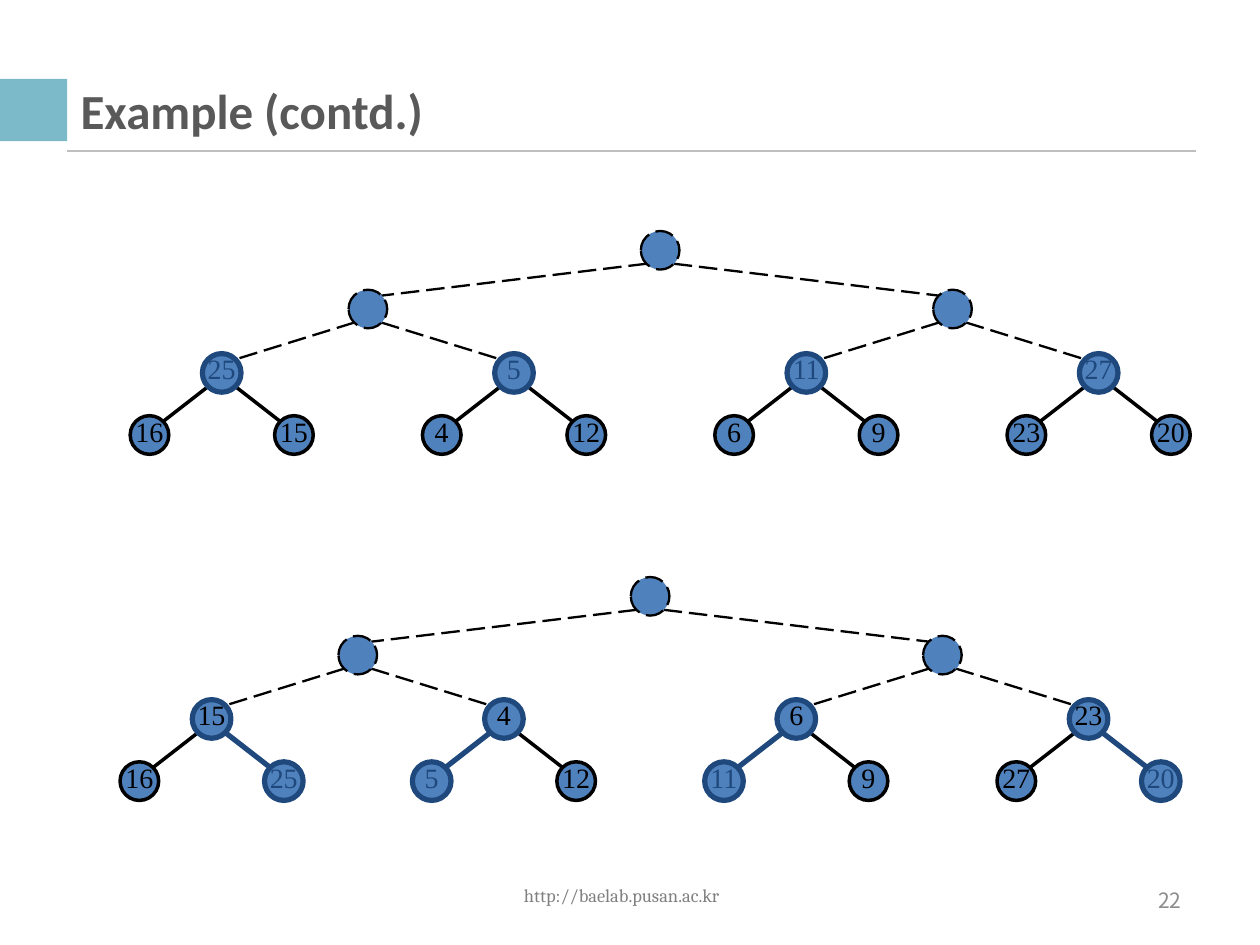
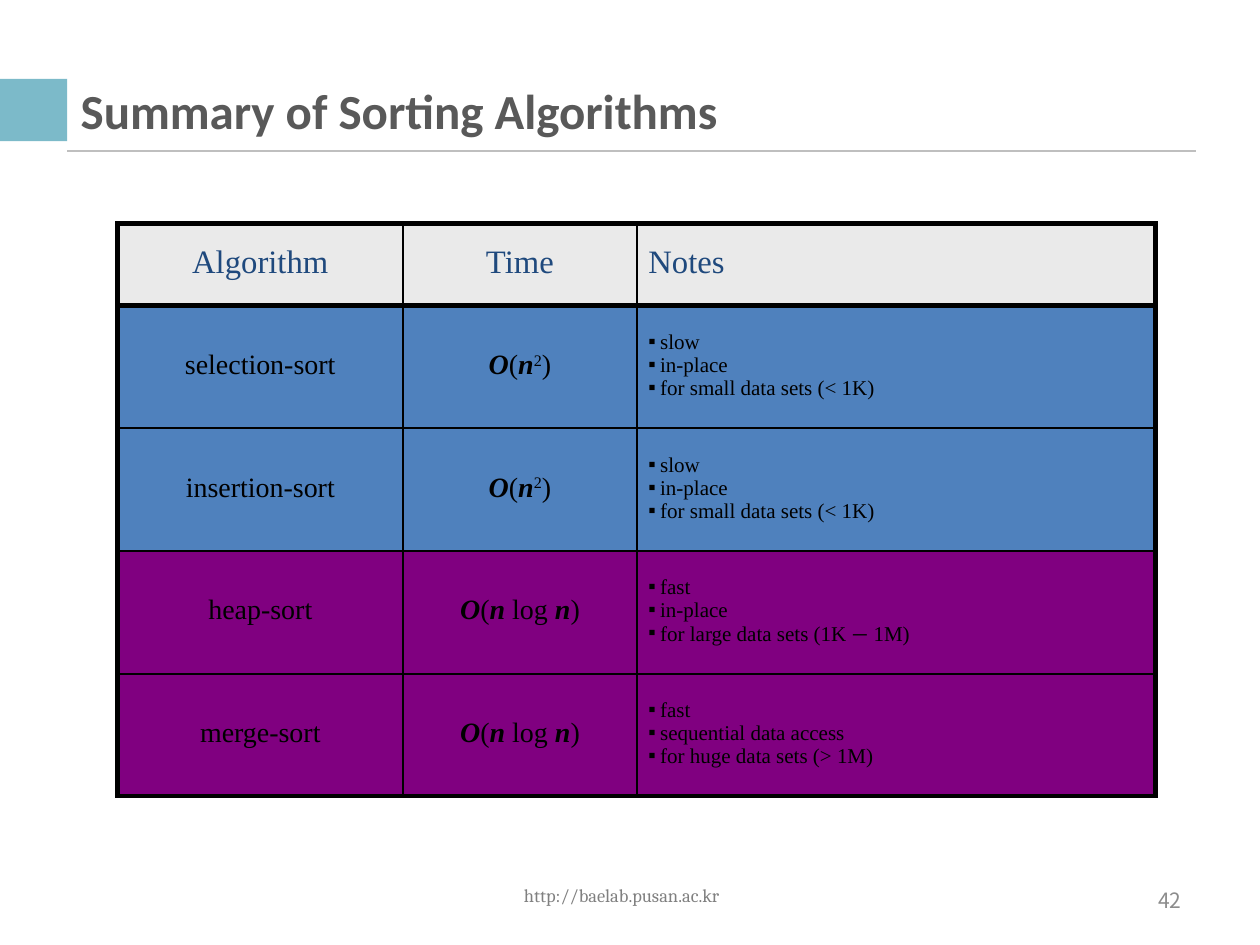
from dataclasses import dataclass

from lxml import etree
from pptx import Presentation
from pptx.dml.color import RGBColor
from pptx.enum.dml import MSO_LINE
from pptx.enum.shapes import MSO_CONNECTOR, MSO_SHAPE
from pptx.enum.text import MSO_ANCHOR, PP_ALIGN
from pptx.oxml.ns import qn
from pptx.util import Inches, Pt

LEFT, CENTER, RIGHT = PP_ALIGN.LEFT, PP_ALIGN.CENTER, PP_ALIGN.RIGHT
MIDDLE = MSO_ANCHOR.MIDDLE
LONG_DASH = MSO_LINE.LONG_DASH
STRAIGHT = MSO_CONNECTOR.STRAIGHT
OVAL, RECTANGLE = MSO_SHAPE.OVAL, MSO_SHAPE.RECTANGLE
TITLE_ONLY = 5


@dataclass(frozen=True)
class Theme:
    accent: str = "7CBAC9"
    rule: str = "BFBFBF"
    title: str = "595959"
    footer: str = "808080"
    number: str = "8C8C8C"
    ink: str = "000000"
    highlight: str = "1F497D"
    blue: str = "4F81BD"
    purple: str = "800080"
    header: str = "EAEAEA"
    title_font: str = "Calibri"
    footer_font: str = "Cambria"
    number_font: str = "Noto Sans CJK KR"
    body_font: str = "Times New Roman"
    dash_font: str = "Lato"
    title_size: float = 21
    footer_size: float = 7.9
    number_size: float = 9
    header_size: float = 14
    body_size: float = 12
    note_size: float = 9
    thin: float = 1
    medium: float = 1.5
    thick: float = 2.25


THEME = Theme()

# Content
FOOTER = "http://baelab.pusan.ac.kr"

# Heaps in level order; None is a node still to be filled
HEAPS = [
    {"root": (3.93, 1.49), "sinking": {25, 5, 11, 27},
     "keys": [None, None, None, 25, 5, 11, 27, 16, 15, 4, 12, 6, 9, 23, 20]},
    {"root": (3.87, 3.55), "sinking": {25, 5, 11, 20},
     "keys": [None, None, None, 15, 4, 6, 23, 16, 25, 5, 12, 11, 9, 27, 20]},
]

# A paragraph is a string or a tuple of (text, style) runs
QUADRATIC = (("O", "variable"), ("(", ""), ("n", "variable"),
             ("2", "superscript"), (")", ""))
LINEARITHMIC = (("O", "variable"), ("(", ""), ("n", "variable"),
                (" log ", ""), ("n", "variable"), (")", ""))
LARGE_SETS = (("for large data sets (1K ", ""), ("—", "dash"), (" 1M)", ""))
SMALL_SETS = "for small data sets (< 1K)"

HEADINGS = ["Algorithm", "Time", "Notes"]
ALGORITHMS = [
    ("selection-sort", QUADRATIC, ["slow", "in-place", SMALL_SETS], THEME.blue),
    ("insertion-sort", QUADRATIC, ["slow", "in-place", SMALL_SETS], THEME.blue),
    ("heap-sort", LINEARITHMIC, ["fast", "in-place", LARGE_SETS], THEME.purple),
    ("merge-sort", LINEARITHMIC,
     ["fast", "sequential data access", "for huge data sets (> 1M)"],
     THEME.purple),
]

# Layout, in inches
NODE = 0.23
EDGE_INSET = 0.08
SPREADS = [1.74, 0.87, 0.43]
LEVEL_DROPS = [0, 0.35, 0.73, 1.1]
COLUMN_WIDTHS = [1.7, 1.39, 3.09]
HEADER_HEIGHT, ROW_HEIGHT = 0.49, 0.73
BULLET_INDENT = 0.07


def rgb(color):
    return RGBColor.from_string(color)


def set_font(font, name, size, color, bold=None):
    font.name, font.size, font.bold = name, Pt(size), bold
    font.color.rgb = rgb(color)


def set_insets(target, left, top, right, bottom):
    target.margin_left, target.margin_top = Inches(left), Inches(top)
    target.margin_right, target.margin_bottom = Inches(right), Inches(bottom)


def set_line(line, color, width, dash=None):
    line.color.rgb = rgb(color)
    line.width = Pt(width)
    if dash:
        line.dash_style = dash


def add_line(slide, start, end, *style):
    line = slide.shapes.add_connector(
        STRAIGHT, *(Inches(value) for value in (*start, *end)))
    set_line(line.line, *style)
    etree.SubElement(line._element.spPr, qn("a:effectLst"))


def add_filled(slide, kind, box, color):
    shape = slide.shapes.add_shape(kind, *(Inches(value) for value in box))
    shape.shadow.inherit = False
    shape.fill.solid()
    shape.fill.fore_color.rgb = rgb(color)
    return shape


def add_label(slide, box, text, align, insets, *font):
    frame = slide.shapes.add_textbox(*(Inches(value) for value in box)).text_frame
    frame.word_wrap = True
    frame.vertical_anchor = MIDDLE
    set_insets(frame, *insets)
    label = frame.paragraphs[0]
    label.text, label.alignment = text, align
    set_font(label.font, *font)


def add_slide(deck, title, number):
    """Add a slide with the shared band, rule, title and footer."""
    slide = deck.slides.add_slide(deck.slide_layouts[TITLE_ONLY])
    band = add_filled(slide, RECTANGLE, (0, 0.47, 0.4, 0.37), THEME.accent)
    band.line.fill.background()
    add_line(slide, (0.4, 0.9), (7.12, 0.9), THEME.rule, THEME.thin)

    heading = slide.shapes.title
    heading.left, heading.top = Inches(0.38), Inches(0.48)
    heading.width, heading.height = Inches(6.75), Inches(0.35)
    heading.text_frame.vertical_anchor = MIDDLE
    paragraph = heading.text_frame.paragraphs[0]
    paragraph.text, paragraph.alignment = title, LEFT
    set_font(paragraph.font, THEME.title_font, THEME.title_size, THEME.title, True)

    add_label(slide, (2.51, 5.18, 2.38, 0.3), FOOTER, CENTER,
              (0.07, 0.04, 0.07, 0.04),
              THEME.footer_font, THEME.footer_size, THEME.footer)
    add_label(slide, (5.38, 5.21, 1.75, 0.3), str(number), RIGHT,
              (0.1, 0.05, 0.1, 0.05),
              THEME.number_font, THEME.number_size, THEME.number)
    return slide


# Heap diagrams
def heap_centers(root, count):
    centers = [root]
    for index in range(1, count):
        level = (index + 1).bit_length() - 1
        side = -1 if index % 2 else 1
        parent_x = centers[(index - 1) // 2][0]
        centers.append((parent_x + side * SPREADS[level - 1],
                        root[1] + LEVEL_DROPS[level]))
    return centers


def add_node(slide, center, key, outline, color):
    x, y = center
    node = add_filled(slide, OVAL, (x - NODE / 2, y - NODE / 2, NODE, NODE),
                      THEME.blue)
    set_line(node.line, *outline)
    if key is None:
        return
    frame = node.text_frame
    frame.word_wrap = False
    frame.vertical_anchor = MIDDLE
    set_insets(frame, 0, 0, 0, 0.05)
    label = frame.paragraphs[0]
    label.text, label.alignment = str(key), CENTER
    set_font(label.font, THEME.body_font, THEME.body_size, color)


def add_heap(slide, root, keys, sinking):
    pending = (THEME.ink, THEME.thin, LONG_DASH)
    settled = (THEME.ink, THEME.medium)
    active = (THEME.highlight, THEME.thick)
    centers = heap_centers(root, len(keys))
    first_leaf = len(keys) // 2

    for index in range(1, len(keys)):
        parent = (index - 1) // 2
        (px, py), (cx, cy) = centers[parent], centers[index]
        inset = EDGE_INSET if cx > px else -EDGE_INSET
        if keys[parent] is None:
            style = pending
        else:
            style = active if keys[index] in sinking else settled
        add_line(slide, (px + inset, py + EDGE_INSET),
                 (cx - inset, cy - EDGE_INSET), *style)

    for index, (center, key) in enumerate(zip(centers, keys)):
        sinks = key in sinking
        if key is None:
            outline = pending
        else:
            outline = active if sinks or index < first_leaf else settled
        add_node(slide, center, key, outline,
                 THEME.highlight if sinks else THEME.ink)


# Summary table
def add_runs(paragraph, content):
    runs = ((content, ""),) if isinstance(content, str) else content
    for text, style in runs:
        run = paragraph.add_run()
        run.text = text
        if style == "variable":
            run.font.bold = run.font.italic = True
        elif style == "superscript":
            run._r.get_or_add_rPr().set("baseline", "30000")
        elif style == "dash":
            run.font.name = THEME.dash_font


def add_bullet(paragraph):
    properties = paragraph._p.get_or_add_pPr()
    properties.set("marL", str(Inches(BULLET_INDENT)))
    properties.set("indent", str(-Inches(BULLET_INDENT)))
    etree.SubElement(properties, qn("a:buFont"), typeface=THEME.body_font)
    etree.SubElement(properties, qn("a:buChar"), char="▪")


def set_borders(cell, widths):
    properties = cell._tc.get_or_add_tcPr()
    for position, (side, width) in enumerate(widths.items()):
        border = etree.Element(qn(f"a:ln{side}"), w=str(Pt(width)))
        fill = etree.SubElement(border, qn("a:solidFill"))
        etree.SubElement(fill, qn("a:srgbClr"), val=THEME.ink)
        properties.insert(position, border)


def fill_cell(cell, content, fill, align, size, color):
    cell.fill.solid()
    cell.fill.fore_color.rgb = rgb(fill)
    cell.vertical_anchor = MIDDLE
    set_insets(cell, 0.07, 0.04, 0.07, 0.04)
    bulleted = isinstance(content, list)
    frame = cell.text_frame
    for index, line in enumerate(content if bulleted else [content]):
        paragraph = frame.add_paragraph() if index else frame.paragraphs[0]
        paragraph.alignment = align
        paragraph.line_spacing = 0.8
        if index:
            paragraph.space_before = Pt(0.2 * size)
        if bulleted:
            add_bullet(paragraph)
        set_font(paragraph.font, THEME.body_font, size, color)
        add_runs(paragraph, line)


def add_summary(slide):
    heights = [HEADER_HEIGHT] + [ROW_HEIGHT] * len(ALGORITHMS)
    last_row, last_column = len(heights) - 1, len(HEADINGS) - 1
    table = slide.shapes.add_table(
        len(heights), len(HEADINGS), Inches(0.7), Inches(1.33),
        Inches(sum(COLUMN_WIDTHS)), Inches(sum(heights))).table
    table.first_row = table.horz_banding = False
    for column, width in zip(table.columns, COLUMN_WIDTHS):
        column.width = Inches(width)
    for row, height in zip(table.rows, heights):
        row.height = Inches(height)

    for r, (*contents, fill) in enumerate([(*HEADINGS, THEME.header), *ALGORITHMS]):
        for c, content in enumerate(contents):
            cell = table.cell(r, c)
            if r == 0:
                size, color = THEME.header_size, THEME.highlight
            else:
                size = THEME.note_size if c == last_column else THEME.body_size
                color = THEME.ink
            fill_cell(cell, content, fill, LEFT if c == last_column else CENTER,
                      size, color)
            heavy = {"L": c == 0, "R": c == last_column,
                     "T": r <= 1, "B": r in (0, last_row)}
            set_borders(cell, {side: THEME.thick if is_heavy else THEME.thin
                               for side, is_heavy in heavy.items()})


def main():
    deck = Presentation()
    deck.slide_width = Inches(7.5)
    deck.slide_height = deck.slide_width * 3 // 4
    example = add_slide(deck, "Example (contd.)", 22)
    for heap in HEAPS:
        add_heap(example, **heap)
    add_summary(add_slide(deck, "Summary of Sorting Algorithms", 42))
    deck.save("out.pptx")


if __name__ == "__main__":
    main()
